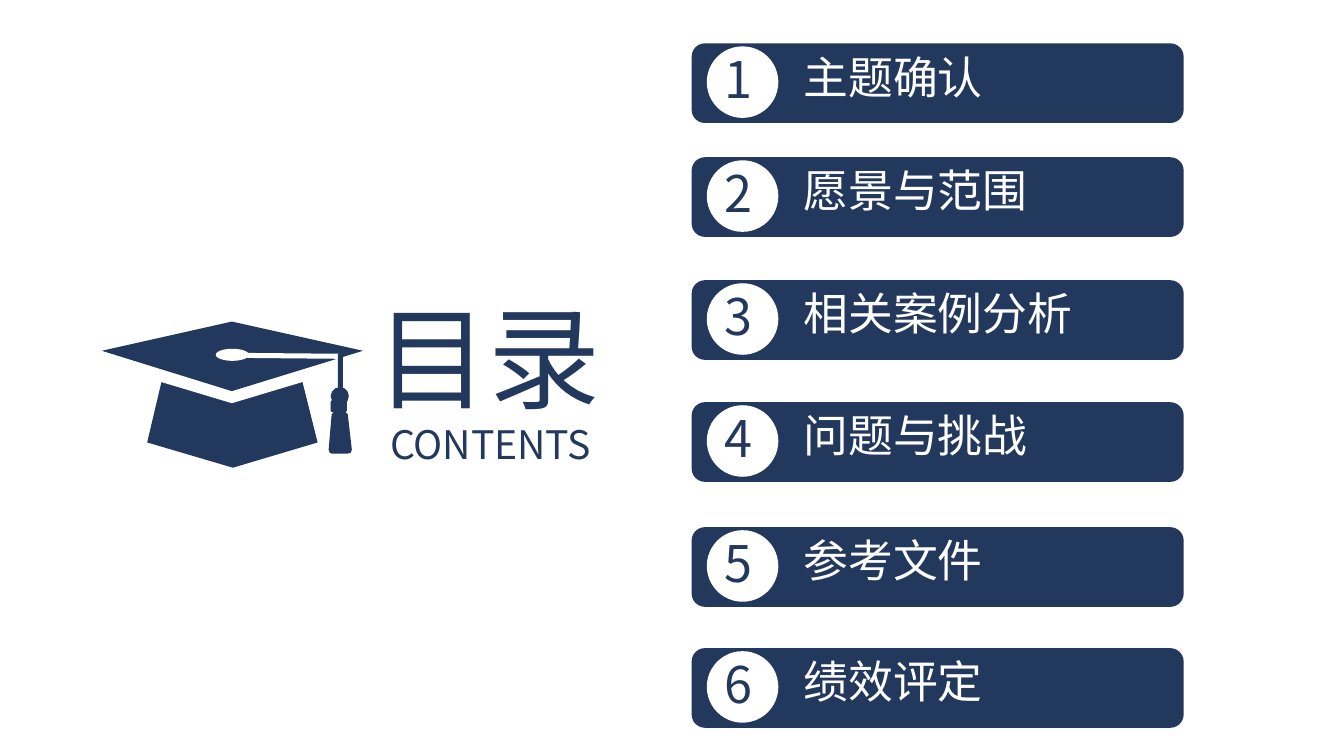
import pptx
import pptx.util
import pptx.dml.color
import pptx.enum.shapes
import pptx.enum.text
import pptx.oxml
import pptx.oxml.ns
from pptx.util import Inches

NAVY = pptx.dml.color.RGBColor(0x22, 0x38, 0x5C)
WHITE = pptx.dml.color.RGBColor(0xFF, 0xFF, 0xFF)
FONT = "Noto Sans CJK SC"
SHAPE = pptx.enum.shapes.MSO_SHAPE
ALIGN = pptx.enum.text.PP_ALIGN


def paint(shape, color):
    shape.shadow.inherit = False
    shape.fill.solid()
    shape.fill.fore_color.rgb = color
    shape.line.fill.background()


def add_label(shapes, box, text, size, color, align):
    label = shapes.add_textbox(*(Inches(v) for v in box))
    label.text_frame.word_wrap = True
    paragraph = label.text_frame.paragraphs[0]
    paragraph.text = text
    paragraph.alignment = align
    paragraph.line_spacing = 0.9
    font = paragraph.runs[0].font
    font.size = pptx.util.Pt(size)
    font.name = FONT
    font.color.rgb = color
    # East Asian characters take their typeface from a:ea
    east_asian = pptx.oxml.parse_xml(
        f'<a:ea {pptx.oxml.ns.nsdecls("a")} typeface="{FONT}"/>')
    paragraph.runs[0].font._element.append(east_asian)


prs = pptx.Presentation()
prs.slide_width = Inches(13.33)
prs.slide_height = Inches(7.5)
slide = prs.slides.add_slide(prs.slide_layouts[6])

# Graduation cap, from back to front
cap = slide.shapes.add_group_shape().shapes
skull = [(3.15, 4.39), (2.31, 4.64), (1.46, 4.39), (1.63, 3.67), (2.97, 3.67)]
board_edge = [(3.6, 3.48), (2.3, 3.19), (1, 3.48), (1, 3.61), (2.3, 4), (3.6, 3.61)]
board = [(2.3, 3.88), (1.01, 3.48), (2.3, 3.19), (3.6, 3.48)]
cord = [(2.25, 3.52), (2.28, 3.5), (3.36, 3.51), (3.39, 3.54), (3.35, 3.56), (2.27, 3.55)]
tassel = [(3.29, 4.11), (3.32, 4.08), (3.42, 4.08), (3.45, 4.11), (3.49, 4.46),
          (3.48, 4.49), (3.45, 4.5), (3.29, 4.5), (3.27, 4.49), (3.26, 4.46)]
for outline, color in [(skull, NAVY), (board_edge, WHITE), (board, NAVY),
                       (cord, WHITE), (tassel, NAVY)]:
    points = [(Inches(x), Inches(y)) for x, y in outline]
    builder = cap.build_freeform(*points[0])
    builder.add_line_segments(points[1:], close=True)
    paint(builder.convert_to_shape(), color)

for preset, box, color in [
    (SHAPE.ROUNDED_RECTANGLE, (3.35, 3.51, 0.05, 0.38), NAVY),  # hanging cord
    (SHAPE.OVAL, (3.28, 3.84, 0.18, 0.18), NAVY),               # knot
    (SHAPE.ROUNDED_RECTANGLE, (3.28, 3.97, 0.16, 0.12), NAVY),  # collar
    (SHAPE.OVAL, (2.14, 3.46, 0.33, 0.12), WHITE),              # button
]:
    paint(cap.add_shape(preset, *(Inches(v) for v in box)), color)

# Title
add_label(slide.shapes, (3.64, 2.96, 2.59, 1.45), "目录", 80, NAVY, ALIGN.JUSTIFY)
add_label(slide.shapes, (3.77, 4.17, 2.35, 0.57), "CONTENTS", 28, NAVY, ALIGN.JUSTIFY)

# Agenda entries
agenda = [(0.43, "主题确认"), (1.56, "愿景与范围"), (2.78, "相关案例分析"),
          (3.99, "问题与挑战"), (5.23, "参考文件"), (6.43, "绩效评定")]
for number, (top, topic) in enumerate(agenda, start=1):
    entry = slide.shapes.add_group_shape().shapes
    bar = entry.add_shape(SHAPE.ROUNDED_RECTANGLE, Inches(6.86), Inches(top),
                          Inches(4.88), Inches(0.79))
    paint(bar, NAVY)
    disc = entry.add_shape(SHAPE.OVAL, Inches(7.01), Inches(top + 0.03),
                           Inches(0.71), Inches(0.71))
    paint(disc, WHITE)
    add_label(entry, (7.09, top + 0.07, 0.58, 0.71), str(number), 36, NAVY, ALIGN.LEFT)
    add_label(entry, (7.87, top + 0.07, 3.69, 0.64), topic, 32, WHITE, ALIGN.JUSTIFY)

prs.save("out.pptx")
